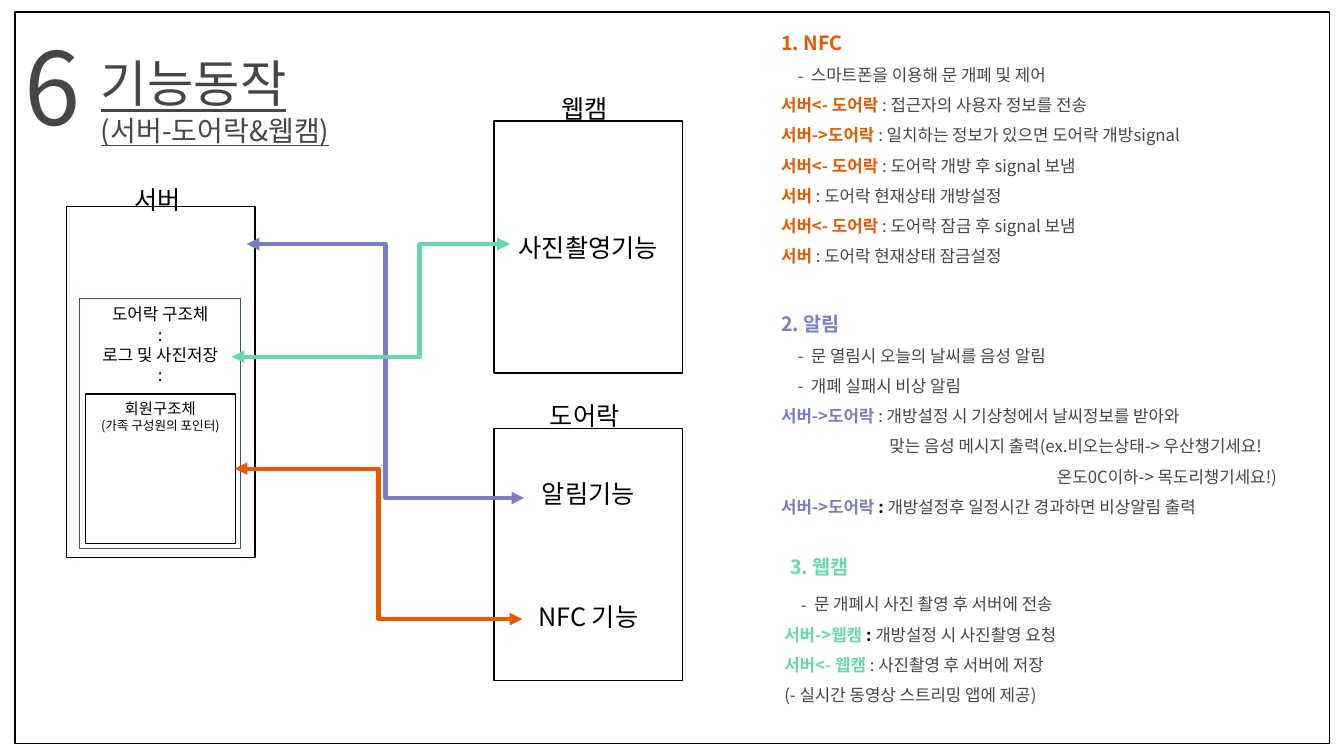
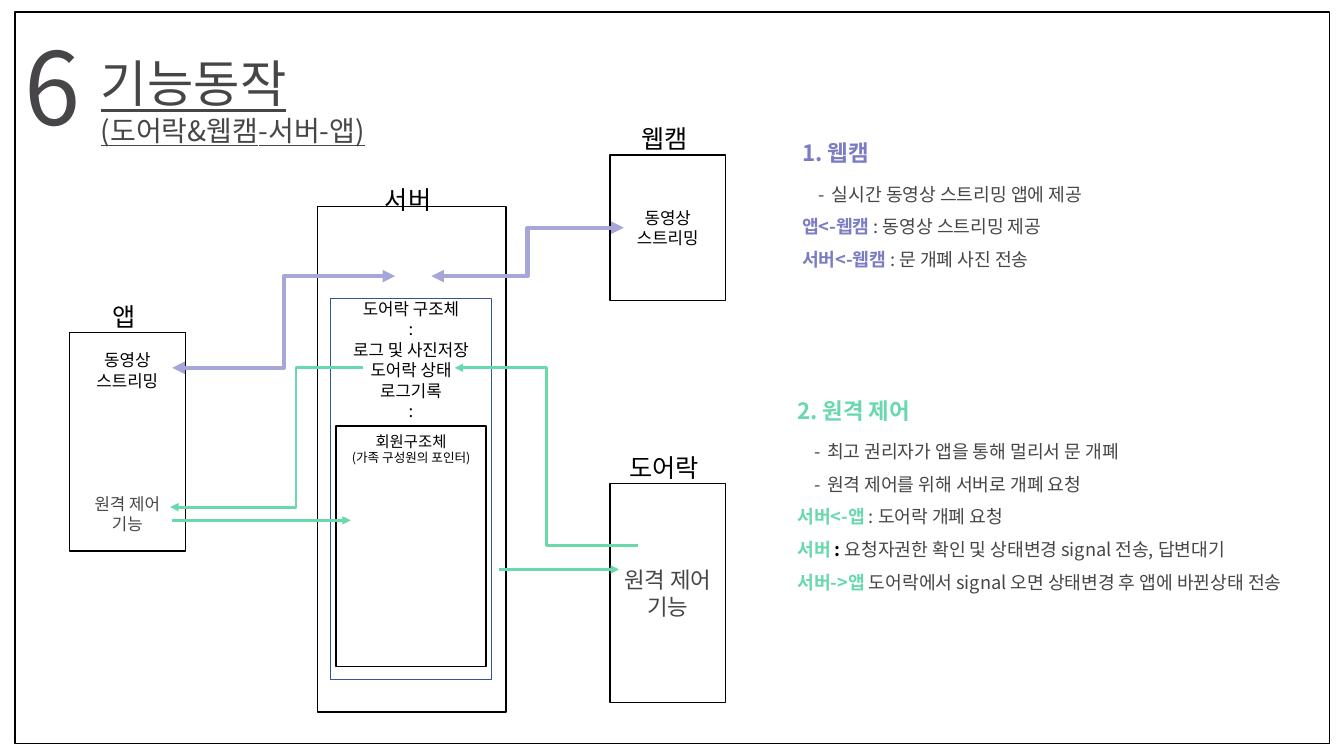
"""Build two slides on how the server, door lock, webcam and app work together."""
from dataclasses import dataclass

from lxml.etree import SubElement
from pptx import Presentation
from pptx.dml.color import RGBColor
from pptx.enum.shapes import MSO_CONNECTOR as Connector, MSO_SHAPE as Shape
from pptx.enum.text import MSO_ANCHOR as Anchor, MSO_AUTO_SIZE as AutoSize, PP_ALIGN as Align
from pptx.oxml.ns import qn
from pptx.util import Cm, Pt


@dataclass(frozen=True)
class Theme:
    font: str = "Noto Sans CJK KR"
    ink: str = "474548"
    black: str = "000000"
    white: str = "FFFFFF"
    navy: str = "325491"
    orange: str = "EB5800"
    violet: str = "7A7CC4"
    lilac: str = "A6A7D8"
    mint: str = "69D8AD"
    number: int = 72
    title: int = 36
    subtitle: int = 20
    label: int = 18
    control: int = 16
    small: int = 12
    member: int = 11
    note: int = 9
    single: float = 1.22
    loose: float = 1.8


@dataclass(frozen=True)
class Line:
    text: str
    lead: str = ""
    mark: str = ""
    dash: bool = False
    indent: float = 0


@dataclass(frozen=True)
class Group:
    heading: str
    color: str
    lines: list
    indent: float = 0
    gap: float = 4


THEME = Theme()


def apply(target, **values):
    for name, value in values.items():
        setattr(target, name, value)


class Deck:
    def __init__(self, theme):
        self.theme = theme
        self.presentation = Presentation()
        apply(self.presentation, slide_width=Cm(33.87), slide_height=Cm(19.05))
        self.slide = None

    def new_slide(self, subtitle):
        theme = self.theme
        self.slide = self.presentation.slides.add_slide(self.presentation.slide_layouts[3])
        title = self.slide.shapes.title
        self.place(title, 2.29, 1.17, 12.52, 2.64)
        for index, (text, size) in enumerate([("기능동작", theme.title), (subtitle, theme.subtitle)]):
            paragraph = self.paragraph(title.text_frame, index, size, alignment=Align.LEFT)
            self.run(paragraph, text, size, theme.ink, underline=True)
        self.text("6", 0.36, 0.46, 2.2, 3.3, theme.number, theme.ink)
        self.rectangle(0.38, 0.3, 33.12, 18.44, fill=None)

    def place(self, shape, left, top, width, height):
        apply(shape, left=Cm(left), top=Cm(top), width=Cm(width), height=Cm(height))
        apply(shape.text_frame, word_wrap=True, auto_size=AutoSize.NONE, vertical_anchor=Anchor.TOP)

    def paragraph(self, frame, index, size, spacing=None, **values):
        paragraph = frame.add_paragraph() if index else frame.paragraphs[0]
        leading = Pt(round(size * (spacing or self.theme.single), 1))
        settings = {"line_spacing": leading, "space_before": Pt(0), "space_after": Pt(0)}
        apply(paragraph, **{**settings, **values})
        return paragraph

    def run(self, paragraph, text, size, color, **values):
        run = paragraph.add_run()
        run.text = text
        apply(run.font, name=self.theme.font, size=Pt(size), **values)
        run.font.color.rgb = RGBColor.from_string(color)
        SubElement(run.font._element, qn("a:ea"), typeface=self.theme.font)

    def text(self, text, left, top, width, height, size, color, align=Align.LEFT):
        shape = self.slide.shapes.add_textbox(0, 0, 0, 0)
        self.place(shape, left, top, width, height)
        paragraph = self.paragraph(shape.text_frame, 0, size, alignment=align)
        self.run(paragraph, text, size, color)

    def rectangle(self, left, top, width, height, fill=THEME.white, line=THEME.black):
        shape = self.slide.shapes.add_shape(Shape.RECTANGLE, 0, 0, 0, 0)
        self.place(shape, left, top, width, height)
        shape.shadow.inherit = False
        if fill:
            shape.fill.solid()
            shape.fill.fore_color.rgb = RGBColor.from_string(fill)
        else:
            shape.fill.background()
        shape.line.color.rgb = RGBColor.from_string(line)
        shape.line.width = Pt(1)
        return shape

    def box(self, left, top, width, height, rows=(), label="", lift=0.84,
            line=THEME.black, anchor=Anchor.MIDDLE, inset=0.13):
        shape = self.rectangle(left, top, width, height, line=line)
        frame = shape.text_frame
        apply(frame, vertical_anchor=anchor, margin_top=Cm(inset), margin_bottom=Cm(inset),
              margin_left=Cm(0.13), margin_right=Cm(0.13))
        for index, (text, size, color, before) in enumerate(rows):
            paragraph = self.paragraph(frame, index, size, alignment=Align.CENTER,
                                       space_before=Pt(before))
            self.run(paragraph, text, size, color)
        if label:
            self.text(label, left + width / 2 - 1.59, top - lift, 3, 1.02,
                      self.theme.label, self.theme.black, Align.CENTER)

    def rows(self, *texts, size=THEME.small, color=THEME.black, before=0):
        return [(text, size, color, 0 if index else before) for index, text in enumerate(texts)]

    def server(self, left, heights, member_offset, structure, inset=0.13):
        theme = self.theme
        outer, middle, inner = heights
        self.box(left, 5.21, 4.75, outer, label="서버", lift=0.7)
        self.box(left + 0.33, 7.52, 4.06, middle, self.rows(*structure),
                 line=theme.navy, anchor=Anchor.TOP, inset=inset)
        member = (self.rows("회원구조체", size=theme.member)
                  + self.rows("(가족 구성원의 포인터)", size=theme.note))
        self.box(left + 0.47, 7.52 + member_offset, 3.78, inner, member, anchor=Anchor.TOP)

    def bullets(self, index, area, groups, heading_size, size):
        theme = self.theme
        shape = self.slide.placeholders[index]
        self.place(shape, *area)
        frame = shape.text_frame
        count = 0
        for group in groups:
            paragraph = self.paragraph(frame, count, heading_size, theme.loose,
                                       space_before=Pt(24 if count else 0),
                                       space_after=Pt(group.gap))
            self.indent(paragraph, group.indent)
            self.run(paragraph, group.heading, heading_size, group.color, bold=True)
            for line in group.lines:
                count += 1
                paragraph = self.paragraph(frame, count, size, theme.loose)
                self.indent(paragraph, line.indent, line.dash)
                parts = [(line.lead, group.color, True), (line.mark, theme.black, True),
                         (line.text, theme.ink, False)]
                for text, color, bold in parts:
                    if text:
                        self.run(paragraph, text, size, color, bold=bold)
            count += 1

    def indent(self, paragraph, indent, dash=False):
        properties = paragraph._p.get_or_add_pPr()
        properties.set("marL", str(Cm(0.75 if dash else indent)))
        properties.set("indent", str(Cm(-0.33 if dash else 0)))
        if dash:
            SubElement(properties, qn("a:buClr")).append(self.color_element())
            SubElement(properties, qn("a:buFont"), typeface=self.theme.font)
            SubElement(properties, qn("a:buChar"), char="-")
        else:
            SubElement(properties, qn("a:buNone"))

    def color_element(self):
        holder = SubElement(self.slide.shapes.title._element.makeelement(qn("a:buClr")),
                            qn("a:srgbClr"), val=self.theme.ink)
        return holder

    def arrow(self, start, end, color, width=3, bend=0.5, double=True):
        kind = Connector.STRAIGHT if start[1] == end[1] else Connector.ELBOW
        connector = self.slide.shapes.add_connector(kind, *map(Cm, start + end))
        connector.line.color.rgb = RGBColor.from_string(color)
        connector.line.width = Pt(width)
        properties = connector._element.spPr
        outline = properties.find(qn("a:ln"))
        for name in ("a:headEnd", "a:tailEnd")[0 if double else 1:]:
            SubElement(outline, qn(name), type="triangle")
        SubElement(properties, qn("a:effectLst"))
        if kind == Connector.ELBOW:
            geometry = properties.find(qn("a:prstGeom"))
            values = geometry.find(qn("a:avLst"))
            if values is None:
                values = SubElement(geometry, qn("a:avLst"))
            SubElement(values, qn("a:gd"), name="adj1", fmla=f"val {round(bend * 100000)}")


def server_slide(deck):
    theme = deck.theme
    deck.new_slide("(서버-도어락&웹캠)")
    deck.server(1.68, (8.84, 6.3, 3.76), 2.41, ("도어락 구조체", ":", "로그 및 사진저장", ":"))
    deck.box(12.45, 3.05, 4.75, 6.35, deck.rows("사진촬영기능", size=theme.label), "웹캠")
    features = (deck.rows("알림기능", size=theme.label)
                + deck.rows("NFC 기능", size=theme.label, before=66))
    deck.box(12.45, 10.8, 4.75, 6.35, features, "도어락")

    nfc = Group("1. NFC", theme.orange, [
        Line("스마트폰을 이용해 문 개폐 및 제어", dash=True),
        Line(": 접근자의 사용자 정보를 전송", "서버<- 도어락 "),
        Line(": 일치하는 정보가 있으면 도어락 개방signal", "서버->도어락 "),
        Line(": 도어락 개방 후 signal 보냄", "서버<- 도어락 "),
        Line(": 도어락 현재상태 개방설정", "서버 "),
        Line(": 도어락 잠금 후 signal 보냄", "서버<- 도어락 "),
        Line(": 도어락 현재상태 잠금설정", "서버 "),
    ], gap=0)
    alarm = Group("2. 알림", theme.violet, [
        Line("문 열림시 오늘의 날씨를 음성 알림", dash=True),
        Line("개폐 실패시 비상 알림", dash=True),
        Line(": 개방설정 시 기상청에서 날씨정보를 받아와", "서버->도어락 "),
        Line("맞는 음성 메시지 출력(ex.비오는상태-> 우산챙기세요!", indent=2.73),
        Line("온도0C이하-> 목도리챙기세요!)", indent=6.95),
        Line("개방설정후 일정시간 경과하면 비상알림 출력", "서버->도어락 ", ": "),
    ], gap=0)
    webcam = Group("3. 웹캠", theme.mint, [
        Line("문 개폐시 사진 촬영 후 서버에 전송", dash=True),
        Line("개방설정 시 사진촬영 요청", "서버->웹캠 ", ": "),
        Line(": 사진촬영 후 서버에 저장", "서버<- 웹캠 "),
        Line("(- 실시간 동영상 스트리밍 앱에 제공)"),
    ], indent=0.15)
    deck.bullets(1, (19.43, 0.36, 14.17, 13.2), [nfc, alarm], 14, theme.small)
    deck.bullets(2, (19.51, 13.56, 13.89, 4.37), [webcam], 14, theme.small)

    deck.arrow((5.92, 11.81), (13.16, 15.6), theme.orange)
    deck.arrow((6.22, 6.15), (13.21, 12.55), theme.violet)
    deck.arrow((5.84, 8.99), (12.85, 6.15), theme.mint, bend=0.675)


def app_slide(deck):
    theme = deck.theme
    deck.new_slide("(도어락&웹캠-서버-앱)")
    structure = ("도어락 구조체", ":", "로그 및 사진저장", "도어락 상태", "로그기록", ":")
    deck.server(8, (12.73, 9.6, 6.05), 3.22, structure, inset=0)
    streaming = deck.rows("동영상", "스트리밍")
    remote = ("원격 제어", "기능")
    deck.box(1.75, 8.38, 2.92, 5.51,
             streaming + deck.rows(*remote, color=theme.ink, before=73), "앱", lift=0.93)
    deck.box(15.37, 12.19, 2.92, 5.51,
             deck.rows(*remote, size=theme.control, color=theme.ink), "도어락", lift=0.93)
    deck.box(15.37, 3.91, 2.92, 3.66, streaming, "웹캠", lift=0.93)

    webcam = Group("1. 웹캠", theme.violet, [
        Line("실시간 동영상 스트리밍 앱에 제공", dash=True),
        Line(": 동영상 스트리밍 제공", "앱<-웹캠 "),
        Line(": 문 개폐 사진 전송", "서버<-웹캠 "),
    ])
    control = Group("2. 원격 제어", theme.mint, [
        Line("최고 권리자가 앱을 통해 멀리서 문 개폐", dash=True),
        Line("원격 제어를 위해 서버로 개폐 요청", dash=True),
        Line(": 도어락 개폐 요청", "서버<-앱 "),
        Line("요청자권한 확인 및 상태변경 signal 전송, 답변대기", "서버 ", ": "),
        Line(" 도어락에서 signal 오면 상태변경 후 앱에 바뀐상태 전송", "서버->앱"),
    ])
    deck.bullets(1, (19.96, 3.05, 11.51, 4.2), [webcam], 16, 13)
    deck.bullets(2, (19.84, 9.53, 14.02, 5.49), [control], 16, 13)

    deck.arrow((4.34, 9.27), (9.96, 6.96), theme.lilac)
    deck.arrow((10.87, 6.96), (15.72, 5.74), theme.lilac)
    for start, end, bend in [((4.34, 13.11), (8.84, 13.11), 0.5),
                             ((12.57, 14.35), (15.6, 14.35), 0.5),
                             ((16.08, 13.74), (11.46, 9.27), 0.5),
                             ((9.14, 9.27), (4.29, 12.78), 0.346)]:
        deck.arrow(start, end, theme.mint, 2, bend, double=False)


def main():
    deck = Deck(THEME)
    server_slide(deck)
    app_slide(deck)
    deck.presentation.save("out.pptx")


if __name__ == "__main__":
    main()
